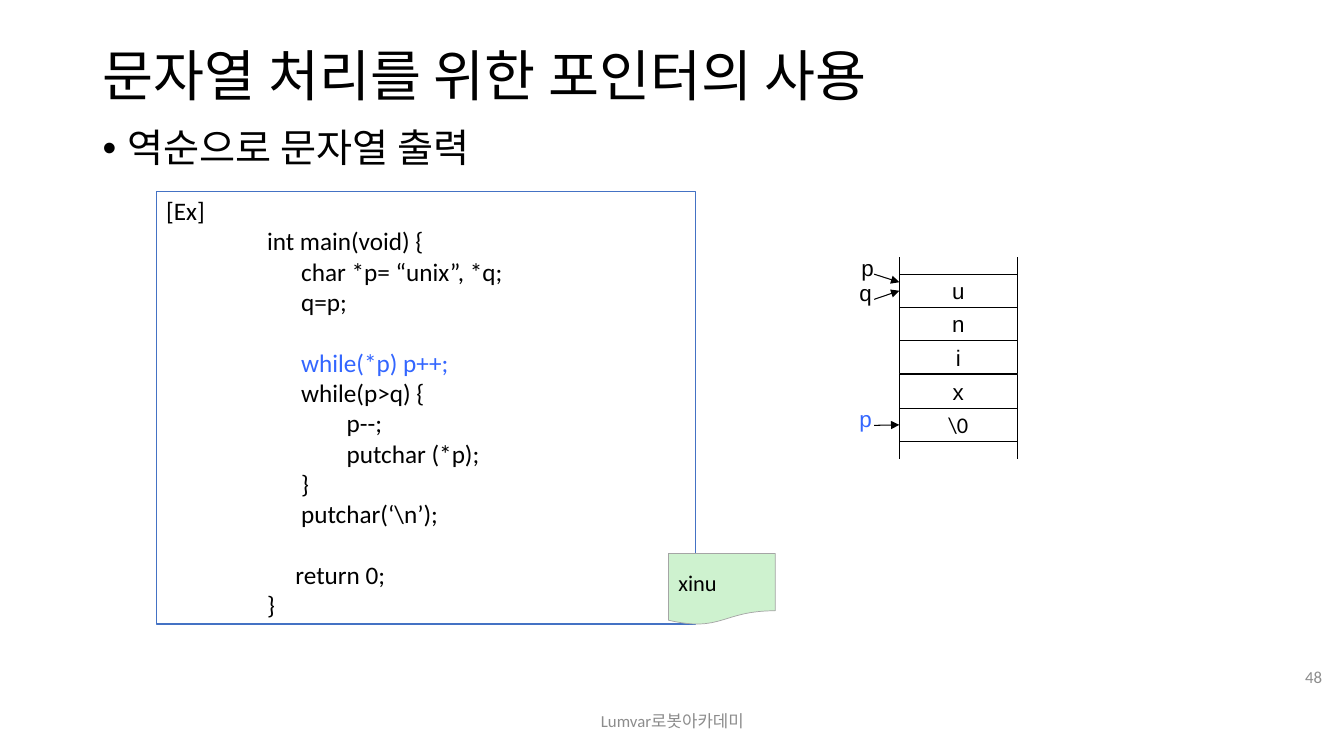
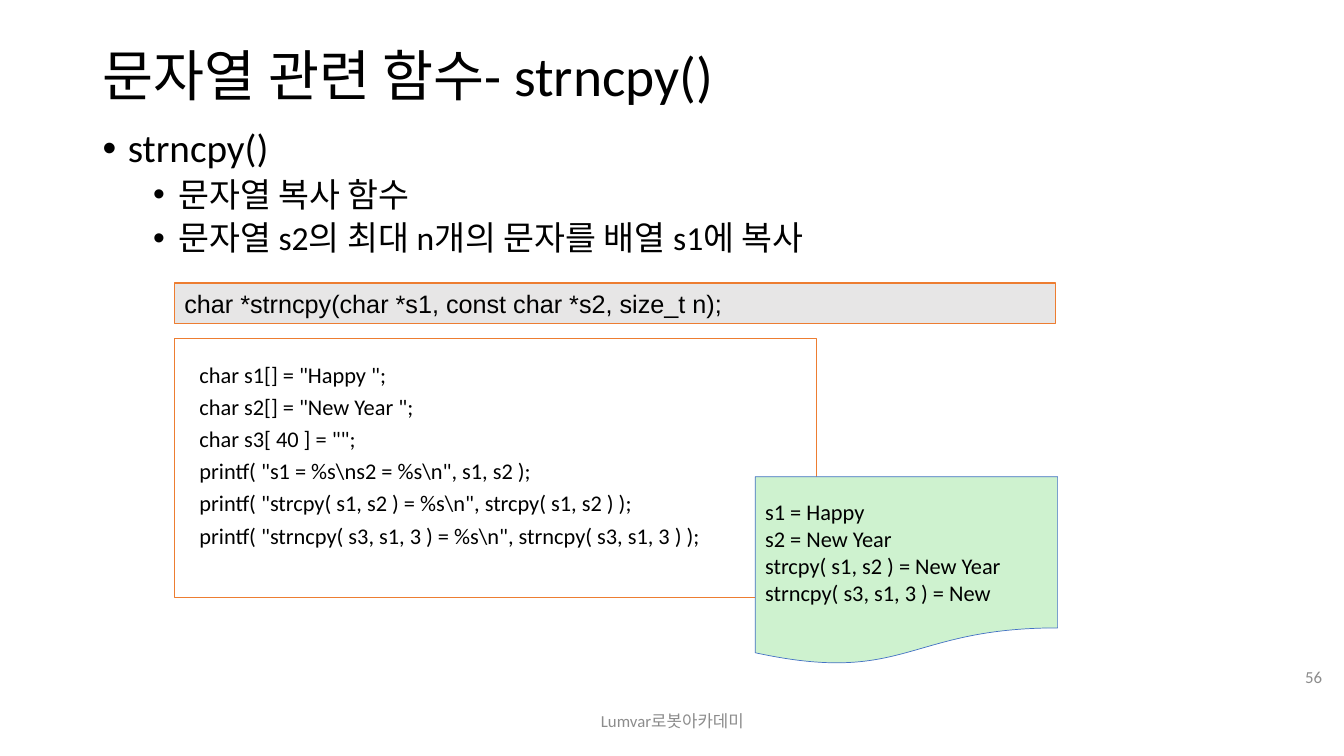
from lxml.etree import SubElement as Sub
from pptx import Presentation
from pptx.dml.color import RGBColor
from pptx.enum.shapes import MSO_CONNECTOR as Conn, MSO_SHAPE as Kind
from pptx.enum.text import MSO_ANCHOR as Anchor, PP_ALIGN as Align
from pptx.oxml.ns import qn
from pptx.util import Pt

SCALE = 9144
BLACK = "000000"
WHITE = "FFFFFF"
GRAY = "8C8C8C"
BLUE = "3366FF"
NAVY = "4472C4"
ORANGE = "ED7D31"
GREEN = "CEF2CF"
FOOTER = "Lumvar로봇아카데미"


def px(n):
    return round(n * SCALE)


def color(code):
    return RGBColor.from_string(code)


def write(shape, lines, size=16, font="Calibri", ink=BLACK, align=Align.LEFT,
          anchor=Anchor.MIDDLE, lead=None, foot=5):
    frame = shape.text_frame
    frame.word_wrap = True
    frame.vertical_anchor = anchor
    frame.margin_bottom = px(foot)
    for i, line in enumerate(lines):
        words, opts = (line, {}) if isinstance(line, str) else line
        para = frame.paragraphs[0] if i == 0 else frame.add_paragraph()
        para.alignment = align
        if lead:
            para.line_spacing = lead
        if "gap" in opts:
            para.space_before = Pt(opts["gap"])
        if "left" in opts:
            props = para._p.get_or_add_pPr()
            props.set("marL", str(px(opts["left"])))
            if opts.get("dot"):
                props.set("indent", str(px(-25)))
                Sub(props, qn("a:buFont")).set("typeface", "Arial")
                Sub(props, qn("a:buChar")).set("char", "•")
        run = para.add_run()
        run.text = words
        run.font.size = Pt(opts.get("size", size))
        run.font.name = font
        run.font.color.rgb = color(opts.get("ink", ink))


def label(slide, area, lines, **style):
    write(slide.shapes.add_textbox(*map(px, area)), lines, **style)


def block(slide, area, lines, kind=Kind.RECTANGLE, fill=None, edge=BLACK,
          width=1, **style):
    shape = slide.shapes.add_shape(kind, *map(px, area))
    shape.shadow.inherit = False
    if fill:
        shape.fill.solid()
        shape.fill.fore_color.rgb = color(fill)
    else:
        shape.fill.background()
    shape.line.color.rgb = color(edge)
    shape.line.width = Pt(width)
    write(shape, lines, **style)
    return shape


def sheet(slide, area, lines, edge):
    block(slide, area, lines, Kind.FLOWCHART_DOCUMENT, GREEN, edge, 0.5)


def link(slide, start, end, arrow=False, cell=None):
    line = slide.shapes.add_connector(Conn.STRAIGHT, *map(px, start + end))
    line.line.color.rgb = color(BLACK)
    line.line.width = Pt(0.75)
    if arrow:
        Sub(line.line._get_or_add_ln(), qn("a:tailEnd")).set("type", "triangle")
    Sub(line._element.spPr, qn("a:effectLst"))
    if cell:
        line.end_connect(cell, 1)


def bullet(words, level=0):
    return words, dict(left=25 + 50 * level, dot=True, size=28 - 4 * level,
                       **({"gap": 5} if level else {}))


def page(deck, title, points, number):
    slide = deck.slides.add_slide(deck.slide_layouts[6])
    label(slide, (92, 40, 1150, 75), [title], size=39.6, lead=0.9)
    label(slide, (92, 123, 1150, 553), points, anchor=Anchor.TOP, lead=0.9)
    label(slide, (442, 695, 450, 40), [FOOTER], size=12, ink=GRAY,
          align=Align.CENTER)
    label(slide, (1259, 651, 62, 40), [str(number)], size=12, ink=GRAY,
          align=Align.RIGHT)
    return slide


def stack(slide):
    left, top, wide, tall = 892, 272, 117, 33
    cells = []
    for i, sign in enumerate(["u", "n", "i", "x", "\\0"]):
        font = "Calibri" if sign == "\\0" else "Arial"
        cells.append(block(slide, (left, top + 100 * i // 3, wide, tall), [sign],
                           width=0.75, font=font, align=Align.CENTER))
    for x in (left, left + wide):
        for start, end in ((255, 280), (438, 455)):
            link(slide, (x, start), (x, end))
    marks = [("p", 247, 37, BLACK, 272, 280, None),
             ("q", 272, 33, BLACK, 297, 289, cells[0]),
             ("p", 397, 33, BLUE, 422, 422, cells[-1])]
    for sign, y, w, ink, start, end, cell in marks:
        label(slide, (842, y, w, 37), [sign], font="Arial", ink=ink,
              align=Align.CENTER)
        link(slide, (867, start), (left, end), True, cell)


def code(words, **opts):
    return words, dict(left=100, **opts)


def reverse(deck):
    slide = page(deck, "문자열 처리를 위한 포인터의 사용",
                 [bullet("역순으로 문자열 출력")], 48)
    lines = ["[Ex]",
             code("int main(void) {"),
             code("      char *p= “unix”, *q;"),
             code("      q=p;"),
             code("      while(*p) p++;", gap=22, ink=BLUE),
             code("      while(p>q) {"),
             code("              p--;"),
             code("              putchar (*p);"),
             code("      }"),
             code("      putchar(‘\\n’);"),
             code("     return 0;", gap=22),
             code("}")]
    block(slide, (155, 190, 535, 429), lines, fill=WHITE, edge=NAVY, size=18)
    stack(slide)
    sheet(slide, (663, 549, 106, 71), ["xinu"], "A5A5A5")


def strncpy(deck):
    points = [bullet("strncpy()"), bullet("문자열 복사 함수", 1),
              bullet("문자열 s2의 최대 n개의 문자를 배열 s1에 복사", 1)]
    slide = page(deck, "문자열 관련 함수- strncpy()", points, 56)
    block(slide, (173, 281, 874, 40),
          ["char *strncpy(char *s1, const char *s2, size_t n);"],
          fill="E7E6E6", edge=ORANGE, size=18, font="Arial", anchor=Anchor.TOP)
    lines = ['   char s1[] = "Happy ";',
             '   char s2[] = "New Year ";',
             '   char s3[ 40 ] = "";',
             '   printf( "s1 = %s\\ns2 = %s\\n", s1, s2 );',
             '   printf( "strcpy( s1, s2 ) = %s\\n", strcpy( s1, s2 ) );',
             '   printf( "strncpy( s3, s1, 3 ) = %s\\n", strncpy( s3, s1, 3 ) );']
    block(slide, (173, 336, 637, 257), lines, fill=WHITE, edge=ORANGE,
          lead=1.2, foot=37)
    sheet(slide, (749, 473, 300, 187),
          ["s1 = Happy", "s2 = New Year", "strcpy( s1, s2 ) = New Year",
           "strncpy( s3, s1, 3 ) = New"], NAVY)


def main():
    deck = Presentation()
    deck.slide_width = px(1333)
    deck.slide_height = px(750)
    reverse(deck)
    strncpy(deck)
    deck.save("out.pptx")


if __name__ == "__main__":
    main()
